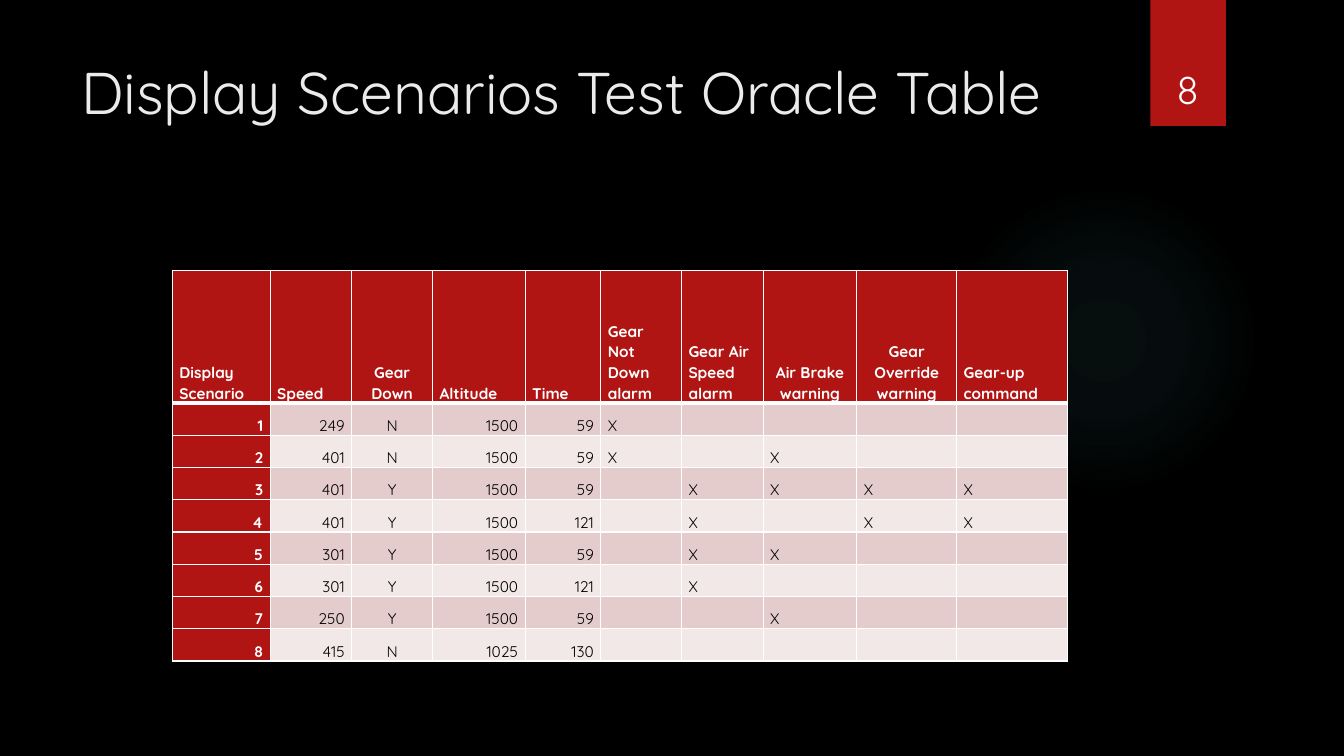
from lxml.etree import SubElement
from pptx import Presentation
from pptx.dml.color import RGBColor
from pptx.enum.shapes import MSO_SHAPE as Preset
from pptx.enum.text import MSO_ANCHOR as Anchor, PP_ALIGN as Align
from pptx.oxml import parse_xml
from pptx.oxml.ns import nsdecls, qn
from pptx.util import Inches, Pt

FONT = "Quicksand"
BLACK = RGBColor(0x00, 0x00, 0x00)
WHITE = RGBColor(0xFF, 0xFF, 0xFF)
TITLE_GREY = RGBColor(0xEB, 0xEB, 0xEB)
RED = RGBColor(0xB0, 0x15, 0x13)
TEAL = RGBColor(0x50, 0xB9, 0xC1)
BAND_DARK = RGBColor(0xE4, 0xCC, 0xCC)
BAND_LIGHT = RGBColor(0xF2, 0xE8, 0xE7)

LEFT, CENTER, RIGHT = Align.LEFT, Align.CENTER, Align.RIGHT

# Heading, width, heading alignment, value alignment
COLUMNS = [
    ("Display Scenario", 0.97, LEFT, RIGHT),
    ("Speed", 0.81, LEFT, RIGHT),
    ("Gear Down", 0.8, CENTER, CENTER),
    ("Altitude", 0.92, LEFT, RIGHT),
    ("Time", 0.75, LEFT, RIGHT),
    ("Gear Not Down alarm", 0.8, LEFT, LEFT),
    ("Gear Air Speed alarm", 0.81, LEFT, LEFT),
    ("Air Brake warning", 0.93, CENTER, LEFT),
    ("Gear Override warning", 0.99, CENTER, LEFT),
    ("Gear-up command", 1.1, LEFT, LEFT),
]
# Speed, gear down, altitude, time, then the five expected outputs
SCENARIOS = [
    ("249", "N", "1500", "59", "X", "", "", "", ""),
    ("401", "N", "1500", "59", "X", "", "X", "", ""),
    ("401", "Y", "1500", "59", "", "X", "X", "X", "X"),
    ("401", "Y", "1500", "121", "", "X", "", "X", "X"),
    ("301", "Y", "1500", "59", "", "X", "X", "", ""),
    ("301", "Y", "1500", "121", "", "X", "", "", ""),
    ("250", "Y", "1500", "59", "", "", "X", "", ""),
    ("415", "N", "1025", "130", "", "", "", "", ""),
]
HEADER_HEIGHT, ROW_HEIGHT = 1.32, 0.32


def write(frame, text, size, color, align=LEFT, bold=False):
    """Put one formatted run in the first paragraph of a text frame."""
    paragraph = frame.paragraphs[0]
    paragraph.alignment = align
    run = paragraph.add_run()
    run.text = text
    run.font.color.rgb = color
    for name, value in {"name": FONT, "size": Pt(size), "bold": bold}.items():
        setattr(run.font, name, value)
    return paragraph


def add_text(slide, box, text, size, color, align=LEFT, anchor=Anchor.TOP):
    frame = slide.shapes.add_textbox(*map(Inches, box)).text_frame
    frame.word_wrap = True
    frame.vertical_anchor = anchor
    write(frame, text, size, color, align)


def add_plain_shape(slide, preset, box, color):
    shape = slide.shapes.add_shape(preset, *map(Inches, box))
    shape.shadow.inherit = False
    shape.fill.solid()
    shape.fill.fore_color.rgb = color
    shape.line.fill.background()
    return shape


def add_glow(slide, box, color, stops):
    """Add a circle that fades outwards; stops are (position, opacity) in percent."""
    shape = add_plain_shape(slide, Preset.OVAL, box, color)
    gradient = parse_xml(
        f'<a:gradFill {nsdecls("a")} rotWithShape="1"><a:gsLst/><a:path path="circle">'
        '<a:fillToRect l="50000" t="50000" r="50000" b="50000"/></a:path></a:gradFill>')
    for position, opacity in stops:
        stop = SubElement(gradient[0], qn("a:gs"), pos=str(position * 1000))
        stop_color = SubElement(stop, qn("a:srgbClr"), val=str(color))
        SubElement(stop_color, qn("a:alpha"), val=str(opacity * 1000))
    properties = shape.element.spPr
    properties.replace(properties.find(qn("a:solidFill")), gradient)


def set_borders(cell, color, widths):
    """Draw cell edges; widths maps edge letters, in the order L R T B, to points."""
    properties = cell._tc.get_or_add_tcPr()
    for index, (edge, width) in enumerate(widths.items()):
        properties.insert(index, parse_xml(
            f'<a:ln{edge} {nsdecls("a")} w="{Pt(width)}"><a:solidFill>'
            f'<a:srgbClr val="{color}"/></a:solidFill></a:ln{edge}>'))


def fill_cell(cell, text, align, fill, color, bold, widths):
    cell.fill.solid()
    cell.fill.fore_color.rgb = fill
    layout = {"vertical_anchor": Anchor.BOTTOM,
              "margin_left": Inches(0.07), "margin_right": Inches(0.07),
              "margin_top": 0, "margin_bottom": 0}
    for name, value in layout.items():
        setattr(cell, name, value)
    set_borders(cell, WHITE, widths)
    if text:
        write(cell.text_frame, text, 11, color, align, bold).line_spacing = 1.07


def add_oracle_table(slide, left, top):
    rows = [[heading for heading, *_ in COLUMNS]]
    rows += [(str(number), *values) for number, values in enumerate(SCENARIOS, 1)]
    width = sum(column[1] for column in COLUMNS)
    height = HEADER_HEIGHT + ROW_HEIGHT * len(SCENARIOS)
    table = slide.shapes.add_table(
        len(rows), len(COLUMNS), *map(Inches, (left, top, width, height))).table
    table.horz_banding = False

    for column, (_, column_width, *_) in zip(table.columns, COLUMNS):
        column.width = Inches(column_width)
    for r, values in enumerate(rows):
        is_header = r == 0
        table.rows[r].height = Inches(HEADER_HEIGHT if is_header else ROW_HEIGHT)
        band = BAND_DARK if r % 2 else BAND_LIGHT
        widths = {"L": 1, "R": 1, "T": 3 if r == 1 else 1, "B": 3 if is_header else 1}
        for c, text in enumerate(values):
            _, _, heading_align, value_align = COLUMNS[c]
            is_label = is_header or c == 0
            fill_cell(table.cell(r, c), text,
                      heading_align if is_header else value_align,
                      RED if is_label else band,
                      WHITE if is_label else BLACK, is_label, widths)


def main():
    presentation = Presentation()
    presentation.slide_width = Inches(13.33)
    presentation.slide_height = Inches(7.5)
    slide = presentation.slides.add_slide(presentation.slide_layouts[6])

    # Background and decoration
    slide.background.fill.solid()
    slide.background.fill.fore_color.rgb = BLACK
    add_glow(slide, (9.41, 1.83, 3.08, 3.08), TEAL, [(0, 7), (36, 6), (69, 0)])
    add_plain_shape(slide, Preset.RECTANGLE, (11.41, 0, 0.75, 1.25), RED)

    # Title, table and slide number
    add_text(slide, (0.71, 0.5, 10.29, 1.53),
             "Display Scenarios Test Oracle Table", 42, TITLE_GREY)
    add_oracle_table(slide, 1.71, 2.68)
    add_text(slide, (11.32, 0.32, 0.92, 0.84), "8", 28, WHITE, CENTER, Anchor.BOTTOM)

    presentation.save("out.pptx")


if __name__ == "__main__":
    main()
